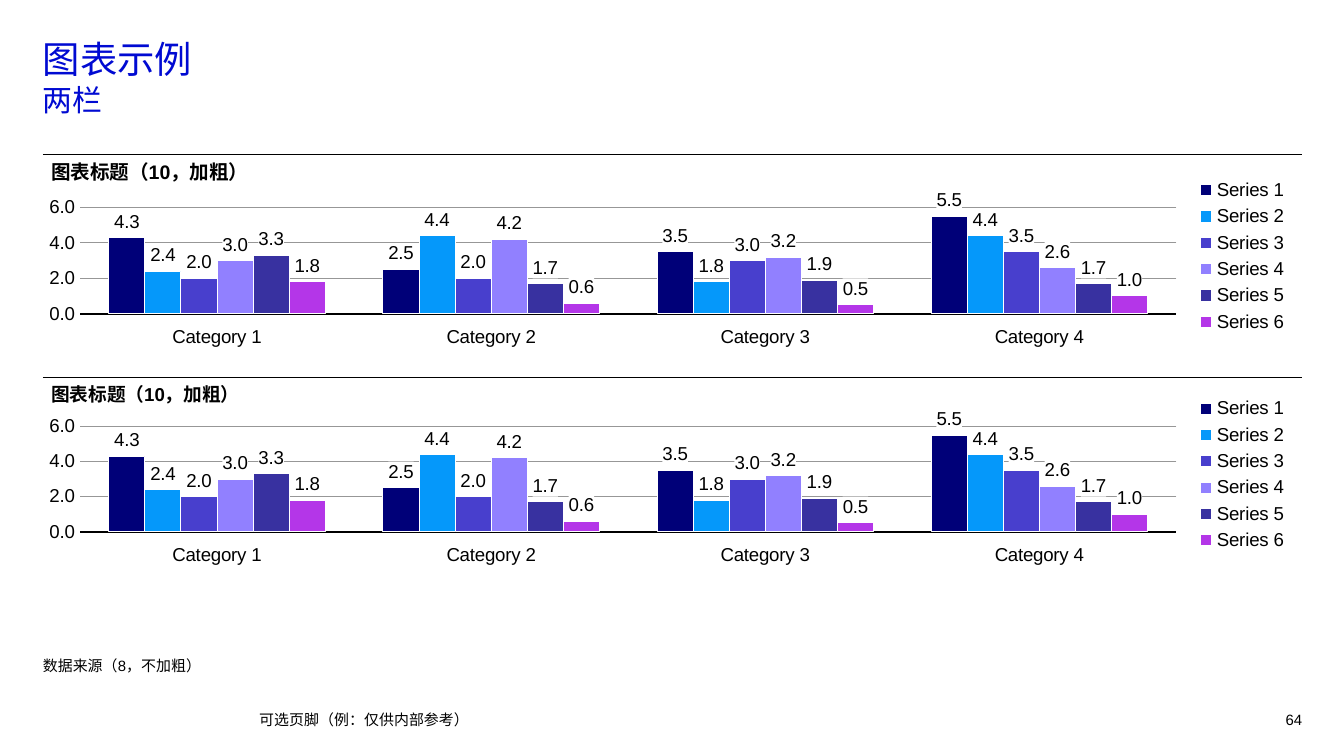
from dataclasses import dataclass

from lxml import etree
from pptx import Presentation
from pptx import util as u
from pptx.chart.data import CategoryChartData
from pptx.dml.color import RGBColor
from pptx.enum import chart as charts, shapes, text
from pptx.oxml import ns, parse_xml


@dataclass(frozen=True)
class Theme:
    font: str = "Arial"
    cjk_font: str = "Noto Sans CJK SC"
    ink: str = "000000"
    title: str = "000AD2"
    paper: str = "FFFFFF"
    grid: str = "979797"
    series: tuple = ("000078", "0598FA", "483FCD", "9180FF", "3831A0", "B436E8")
    title_size: float = 20
    subtitle_size: float = 16
    chart_size: float = 10
    note_size: float = 8


THEME = Theme()
LEFT, WIDTH = 0.81, 23.8

CATEGORIES = [f"Category {number}" for number in range(1, 5)]
SERIES_VALUES = [
    (4.3, 2.5, 3.5, 5.5),
    (2.4, 4.4, 1.8, 4.4),
    (2, 2, 3, 3.5),
    (3, 4.2, 3.2, 2.6),
    (3.3, 1.7, 1.9, 1.7),
    (1.8, 0.6, 0.5, 1),
]


def color(value):
    return RGBColor.from_string(value)


def format_run(run, size, value, bold=False, font=THEME.font):
    run.font.name = font
    run.font.size = u.Pt(size)
    run.font.bold = bold
    run.font.color.rgb = color(value)
    east_asian = etree.SubElement(run.font._element, ns.qn("a:ea"))
    east_asian.set("typeface", THEME.cjk_font)


def add_text(slide, box, content, size, bold=False, inset=0,
             anchor=text.MSO_ANCHOR.TOP, align=text.PP_ALIGN.LEFT):
    shape = slide.shapes.add_textbox(*map(u.Cm, box))
    frame = shape.text_frame
    frame.word_wrap = True
    frame.margin_left = u.Cm(inset)
    frame.margin_right = frame.margin_top = frame.margin_bottom = 0
    frame.vertical_anchor = anchor
    frame.text = content
    paragraph = frame.paragraphs[0]
    paragraph.alignment = align
    for run in paragraph.runs:
        format_run(run, size, THEME.ink, bold)
    return paragraph


def add_title(slide, title, subtitle):
    paragraph = add_text(slide, (LEFT, 0.69, WIDTH, 1.83),
                         f"{title}\v{subtitle}", THEME.title_size)
    for run, size in zip(paragraph.runs, (THEME.title_size, THEME.subtitle_size)):
        format_run(run, size, THEME.title, font=THEME.cjk_font)


def add_rule(slide, top):
    line = slide.shapes.add_connector(
        shapes.MSO_CONNECTOR.STRAIGHT,
        u.Cm(LEFT), u.Cm(top), u.Cm(LEFT + WIDTH), u.Cm(top))
    line.line.color.rgb = color(THEME.ink)
    line.line.width = u.Pt(0.75)
    etree.SubElement(line._element.spPr, ns.qn("a:effectLst"))


def format_font(font):
    font.name = THEME.font
    font.size = u.Pt(THEME.chart_size)
    font.color.rgb = color(THEME.ink)


def format_line(line, value, width):
    line.color.rgb = color(value)
    line.width = u.Pt(width)


def format_axes(chart):
    for axis in (chart.category_axis, chart.value_axis):
        axis.major_tick_mark = axis.minor_tick_mark = charts.XL_TICK_MARK.NONE
        format_font(axis.tick_labels.font)
    chart.category_axis.tick_label_position = charts.XL_TICK_LABEL_POSITION.LOW
    format_line(chart.category_axis.format.line, THEME.ink, 1)

    value_axis = chart.value_axis
    value_axis.minimum_scale, value_axis.maximum_scale = 0, 6
    value_axis.major_unit = 2
    value_axis.format.line.fill.background()
    format_line(value_axis.major_gridlines.format.line, THEME.grid, 0.5)


def format_series(series, value):
    series.format.fill.solid()
    series.format.fill.fore_color.rgb = color(value)
    format_line(series.format.line, THEME.paper, 0.5)
    series.invert_if_negative = False

    labels = series.data_labels
    labels.show_value = True
    labels.number_format = "#,##0.0"
    labels.number_format_is_linked = False
    labels.position = charts.XL_LABEL_POSITION.OUTSIDE_END
    format_font(labels.font)
    # White label background interrupts the gridlines
    background = parse_xml(
        f'<c:spPr {ns.nsdecls("c", "a")}><a:solidFill>'
        f'<a:srgbClr val="{THEME.paper}"/></a:solidFill></c:spPr>')
    labels._element.find(ns.qn("c:numFmt")).addnext(background)


def set_plot_layout(chart, x, y, w, h):
    plot_area = chart._chartSpace.chart.plotArea
    for old in plot_area.findall(ns.qn("c:layout")):
        plot_area.remove(old)
    sizes = "".join(f'<c:{name} val="{value}"/>'
                    for name, value in zip("xywh", (x, y, w, h)))
    plot_area.insert(0, parse_xml(
        f'<c:layout {ns.nsdecls("c")}><c:manualLayout>'
        '<c:layoutTarget val="outer"/><c:xMode val="edge"/><c:yMode val="edge"/>'
        f'{sizes}</c:manualLayout></c:layout>'))


def add_column_chart(slide, top, height):
    data = CategoryChartData(number_format="#,##0.0")
    data.categories = CATEGORIES
    for number, values in enumerate(SERIES_VALUES, 1):
        data.add_series(f"Series {number}", values)
    chart = slide.shapes.add_chart(
        charts.XL_CHART_TYPE.COLUMN_CLUSTERED,
        u.Cm(0.79), u.Cm(top), u.Cm(WIDTH), u.Cm(height), data).chart
    chart.has_title = False
    format_font(chart.font)
    chart.has_legend = True
    chart.legend.position = charts.XL_LEGEND_POSITION.RIGHT
    chart.legend.include_in_layout = False
    format_font(chart.legend.font)

    plot = chart.plots[0]
    plot.gap_width = 160
    plot.overlap = 0
    plot.vary_by_categories = False
    for series, value in zip(plot.series, THEME.series):
        format_series(series, value)
    format_axes(chart)
    set_plot_layout(chart, 0.006, 0.205, 0.895, 0.755)


def main():
    presentation = Presentation()
    presentation.slide_width, presentation.slide_height = u.Cm(25.4), u.Cm(14.29)
    slide = presentation.slides.add_slide(presentation.slide_layouts[6])

    add_title(slide, "图表示例", "两栏")

    # Two chart bands: rule, chart position and heading size
    for rule_top, chart_top, chart_height, heading_size in (
            (2.92, 2.95, 3.78, 10.5), (7.14, 7.09, 3.76, 10)):
        add_rule(slide, rule_top)
        add_column_chart(slide, chart_top, chart_height)
        add_text(slide, (0.94, rule_top + 0.1, 23.65, 0.45),
                 "图表标题（10，加粗）", heading_size, bold=True, inset=0.03)

    # Data source and footer
    source = add_text(slide, (LEFT, 11.4, WIDTH, 1.35), "数据来源（8，不加粗）",
                      THEME.note_size, anchor=text.MSO_ANCHOR.BOTTOM)
    source.line_spacing = 1.1
    add_text(slide, (4.9, 13.41, 16.41, 0.38), "可选页脚（例：仅供内部参考）",
             THEME.note_size, anchor=text.MSO_ANCHOR.MIDDLE)
    add_text(slide, (23.62, 13.41, 0.99, 0.38), "64", THEME.note_size,
             anchor=text.MSO_ANCHOR.MIDDLE, align=text.PP_ALIGN.RIGHT)

    presentation.save("out.pptx")


if __name__ == "__main__":
    main()
